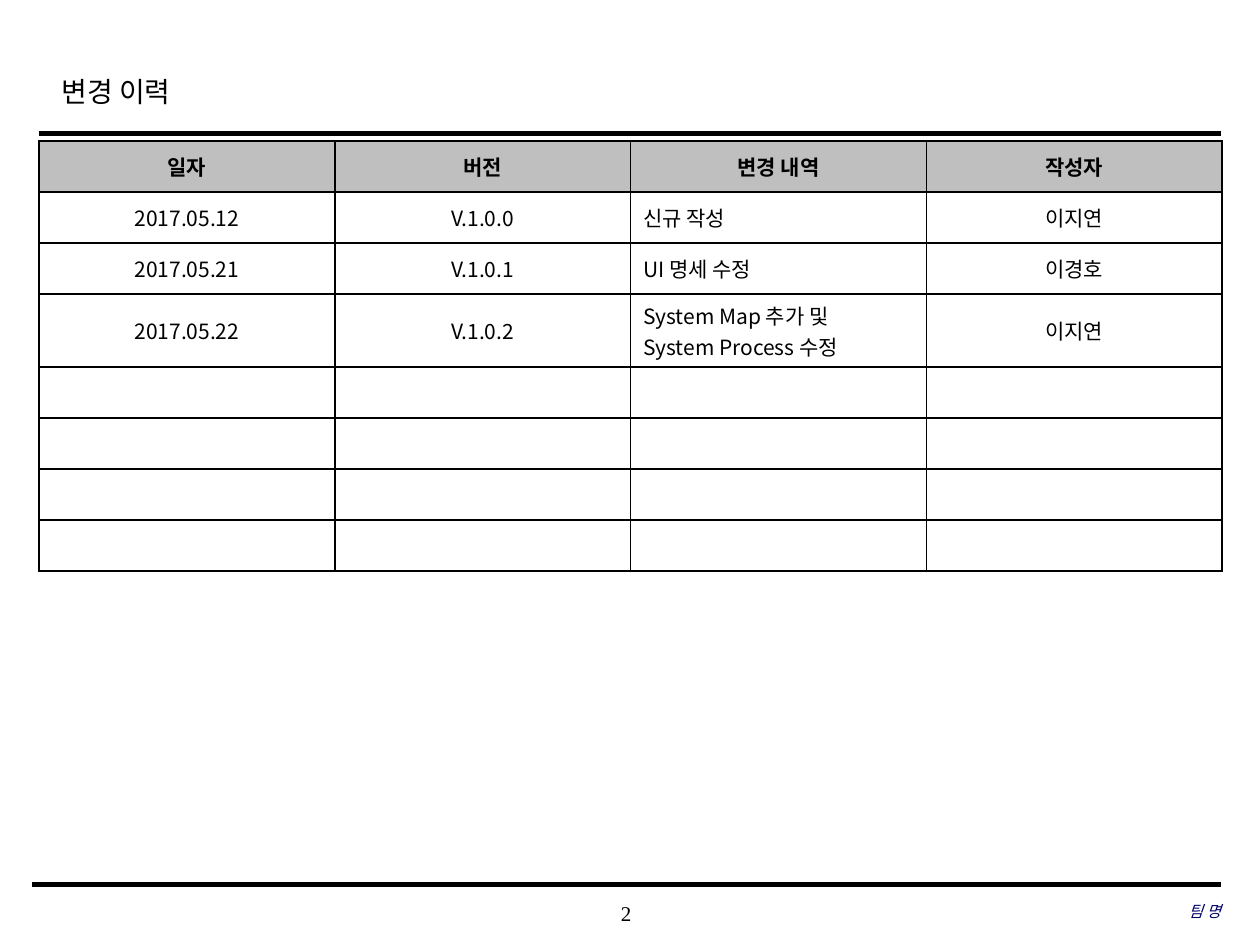
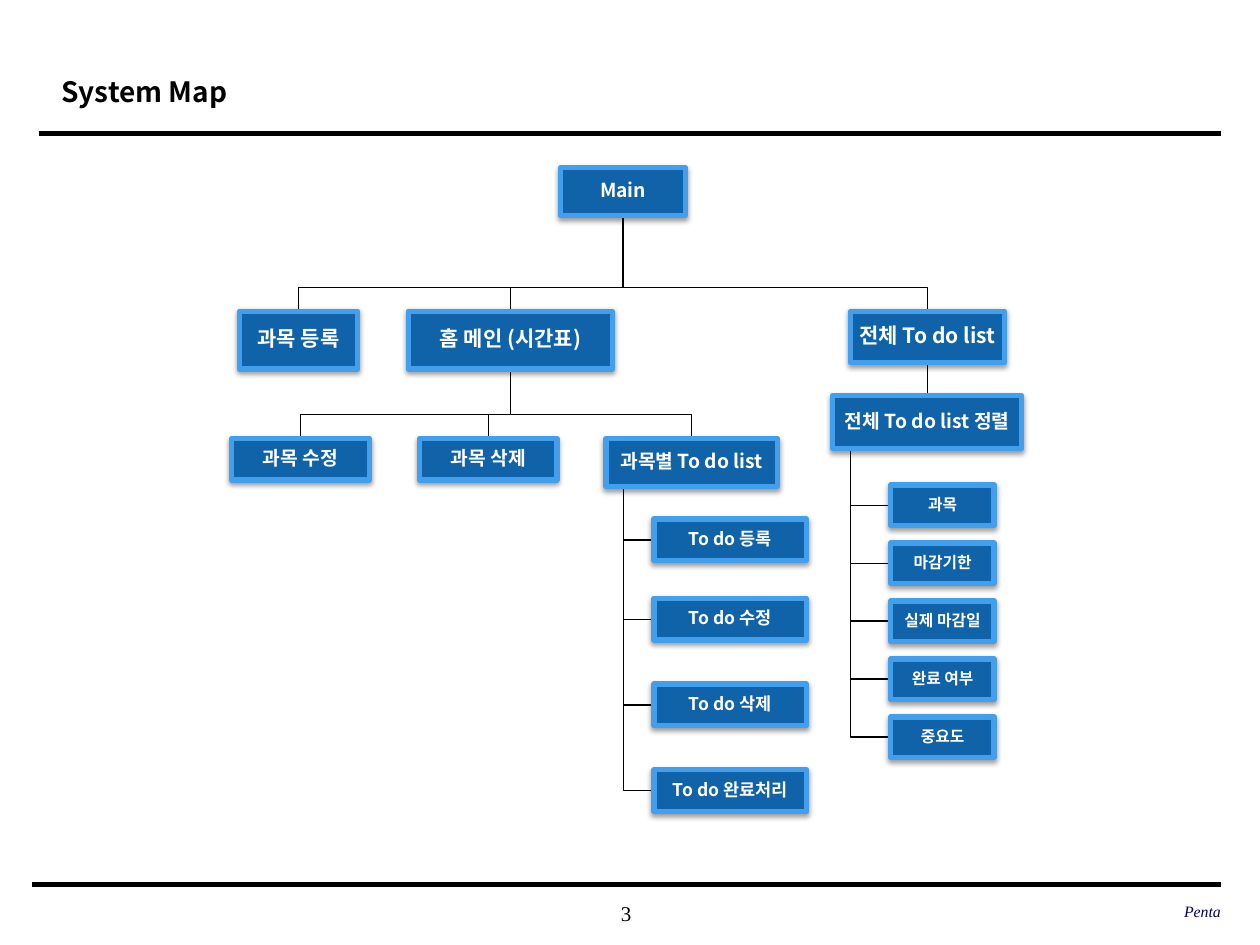
from dataclasses import dataclass

from lxml.etree import SubElement
from pptx import Presentation
from pptx.dml.color import RGBColor
from pptx.enum.shapes import MSO_CONNECTOR as Link, MSO_SHAPE as Form
from pptx.enum.text import MSO_ANCHOR as Anchor, PP_ALIGN as Align
from pptx.oxml.ns import qn
from pptx.util import Inches, Pt

COLORS = {
    "ink": "000000",
    "paper": "FFFFFF",
    "head": "BFBFBF",
    "team": "000066",
    "box": "1063A8",
    "edge": "419FED",
}
SANS = "Noto Sans CJK KR"
SERIF = "Times New Roman"
BEND = 0.19
INSET = 0.14

ROWS = [
    ("일자", "버전", "변경 내역", "작성자"),
    ("2017.05.12", "V.1.0.0", "신규 작성", "이지연"),
    ("2017.05.21", "V.1.0.1", "UI 명세 수정", "이경호"),
    ("2017.05.22", "V.1.0.2", "System Map 추가 및\nSystem Process 수정", "이지연"),
] + [("",) * 4] * 4


@dataclass
class Node:
    text: str
    left: float
    top: float
    width: float
    height: float
    size: int

    @property
    def mid(self) -> float:
        return self.left + self.width / 2

    @property
    def base(self) -> float:
        return self.top + self.height


MAIN = Node("Main", 4.45, 1.33, 0.99, 0.38, 11)
HOME = Node("홈 메인 (시간표)", 3.24, 2.47, 1.62, 0.46, 12)
TOTAL = Node("전체 To do list", 6.75, 2.47, 1.22, 0.41, 12)
SORT = Node("전체 To do list 정렬", 6.61, 3.14, 1.5, 0.42, 11)
TASK = Node("과목별 To do list", 4.81, 3.48, 1.36, 0.38, 11)
AREAS = [Node("과목 등록", 1.9, 2.47, 0.94, 0.46, 12), HOME, TOTAL]
PAGES = [
    Node("과목 수정", 1.84, 3.48, 1.09, 0.33, 11),
    Node("과목 삭제", 3.33, 3.48, 1.09, 0.33, 11),
    TASK,
]
STEPS = [
    Node(f"To do {verb}", 5.19, top, 1.21, 0.33, 10)
    for verb, top in zip(("등록", "수정", "삭제", "완료처리"), (4.12, 4.75, 5.43, 6.11))
]
KEYS = [
    Node(key, 7.07, 3.85 + 0.46 * i, 0.82, 0.32, 9)
    for i, key in enumerate(("과목", "마감기한", "실제 마감일", "완료 여부", "중요도"))
]


def color(name: str) -> RGBColor:
    return RGBColor.from_string(COLORS[name])


def write(frame, text: str, *, size: float = 12, font: str = SANS, ink: str = "ink",
          bold: bool = False, italic: bool = False, align=Align.LEFT,
          space: float = 1, after: float = 0) -> None:
    for i, line in enumerate(text.split("\n")):
        para = frame.paragraphs[0] if i == 0 else frame.add_paragraph()
        para.alignment = align
        para.line_spacing = space
        para.space_after = Pt(after)
        run = para.add_run()
        run.text = line
        run.font.size = Pt(size)
        run.font.name = font
        run.font.bold = bold
        run.font.italic = italic
        run.font.color.rgb = color(ink)
        SubElement(run.font._element, qn("a:ea"), typeface=SANS)


def frame_up(frame, pad: float, anchor=Anchor.MIDDLE, wrap: bool = True) -> None:
    frame.word_wrap = wrap
    frame.vertical_anchor = anchor
    frame.margin_left = frame.margin_right = Inches(pad)
    frame.margin_top = frame.margin_bottom = Inches(min(pad, 0.05))


def label(slide, text: str, left: float, top: float, width: float, height: float,
          pad: float = 0, anchor=Anchor.MIDDLE, **style) -> None:
    box = slide.shapes.add_textbox(Inches(left), Inches(top), Inches(width), Inches(height))
    frame_up(box.text_frame, pad, anchor)
    write(box.text_frame, text, **style)


def rule(slide, start: tuple, end: tuple, weight: float):
    line = slide.shapes.add_connector(Link.STRAIGHT, *map(Inches, start + end))
    line.line.color.rgb = color("ink")
    line.line.width = Pt(weight)
    SubElement(line._element.spPr, qn("a:effectLst"))
    return line


def add_page(deck, title: str, number: int, team: str, font: str, bold: bool):
    slide = deck.slides.add_slide(deck.slide_layouts[6])
    rule(slide, (0.31, 1.06), (9.69, 1.06), 2.5)
    rule(slide, (0.25, 7.02), (9.69, 7.02), 3)
    label(slide, title, 0.39, 0.49, 7.55, 0.5, pad=0.1, anchor=Anchor.TOP,
          size=16, font=font, bold=bold, space=1.2)
    label(slide, str(number), 3.93, 7.08, 2.08, 0.33, font=SERIF, align=Align.CENTER)
    label(slide, team, 6.63, 7.07, 3.06, 0.33, size=9, font=SERIF, ink="team",
          italic=True, align=Align.RIGHT)
    return slide


def border(cell) -> None:
    props = cell._tc.get_or_add_tcPr()
    for i, side in enumerate(("lnL", "lnR", "lnT", "lnB")):
        line = props.makeelement(qn(f"a:{side}"), {"w": str(Pt(1))})
        fill = SubElement(line, qn("a:solidFill"))
        SubElement(fill, qn("a:srgbClr"), val=COLORS["ink"])
        props.insert(i, line)


def add_log(slide) -> None:
    table = slide.shapes.add_table(len(ROWS), 4, Inches(0.31), Inches(1.12),
                                   Inches(9.39), Inches(3.24)).table
    for r, row in enumerate(ROWS):
        if any("\n" in text for text in row):
            table.rows[r].height = Inches(0.58)
        for c, text in enumerate(row):
            cell = table.cell(r, c)
            cell.fill.solid()
            cell.fill.fore_color.rgb = color("paper" if r else "head")
            cell.vertical_anchor = Anchor.MIDDLE
            border(cell)
            write(cell.text_frame, text, bold=r == 0,
                  align=Align.LEFT if r and c == 2 else Align.CENTER)


def trace(slide, points: list) -> None:
    first, *rest = [(Inches(x), Inches(y)) for x, y in points]
    pen = slide.shapes.build_freeform(*first)
    pen.add_line_segments(rest, close=False)
    path = pen.convert_to_shape()
    path.fill.background()
    path.line.color.rgb = color("ink")
    path.line.width = Pt(0.75)
    path.shadow.inherit = False


def fan(slide, top: Node, kids: list) -> None:
    for kid in kids:
        bend = kid.top - BEND
        trace(slide, [(top.mid, top.base), (top.mid, bend), (kid.mid, bend), (kid.mid, kid.top)])


def spine(slide, top: Node, kids: list) -> None:
    x = top.left + INSET
    for kid in kids:
        y = kid.top + kid.height / 2
        trace(slide, [(x, top.base), (x, y), (kid.left, y)])


def add_node(slide, node: Node):
    box = slide.shapes.add_shape(Form.RECTANGLE, Inches(node.left), Inches(node.top),
                                 Inches(node.width), Inches(node.height))
    box.fill.solid()
    box.fill.fore_color.rgb = color("box")
    box.line.color.rgb = color("edge")
    box.line.width = Pt(3)
    box.shadow.inherit = False
    glow = SubElement(box._element.spPr.find(qn("a:effectLst")), qn("a:outerShdw"),
                      blurRad=str(Pt(3.1)), dist=str(Pt(1.6)), dir="5400000", rotWithShape="0")
    tint = SubElement(glow, qn("a:srgbClr"), val=COLORS["ink"])
    SubElement(tint, qn("a:alpha"), val="38000")
    frame_up(box.text_frame, 0.01, wrap=False)
    write(box.text_frame, node.text, size=node.size, ink="paper", bold=True,
          align=Align.CENTER, space=0.9, after=node.size * 0.35)
    return box


def add_map(slide) -> None:
    fan(slide, MAIN, AREAS)
    fan(slide, HOME, PAGES)
    spine(slide, TASK, STEPS)
    spine(slide, SORT, KEYS)
    stem = rule(slide, (TOTAL.mid, TOTAL.base), (SORT.mid, SORT.top), 0.75)
    for node in [MAIN, *AREAS[:2], *PAGES, *STEPS, *KEYS]:
        add_node(slide, node)
    stem.begin_connect(add_node(slide, TOTAL), 2)
    stem.end_connect(add_node(slide, SORT), 0)


def main() -> None:
    deck = Presentation()
    deck.slide_width, deck.slide_height = Inches(10), Inches(7.5)
    add_log(add_page(deck, "변경 이력", 2, "팀 명", SERIF, False))
    add_map(add_page(deck, "System Map", 3, "Penta", SANS, True))
    deck.save("out.pptx")


if __name__ == "__main__":
    main()
